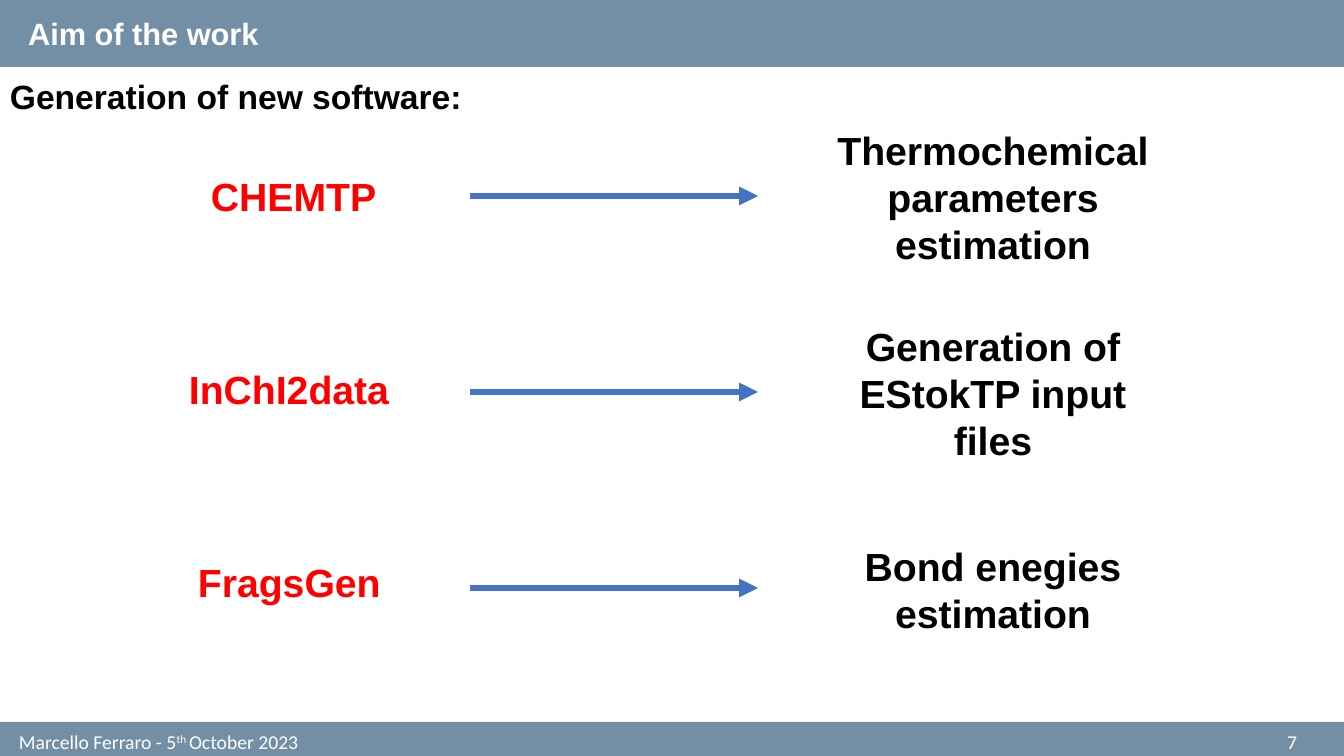
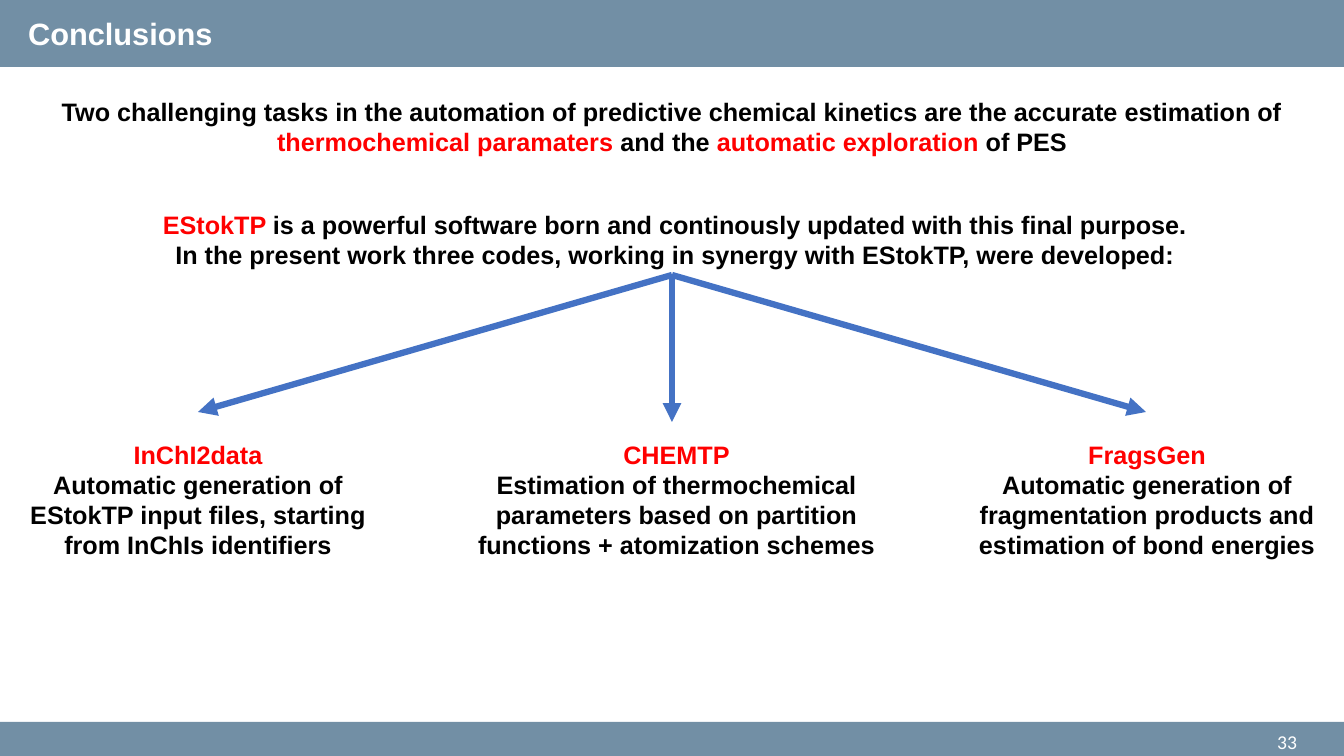
from lxml.etree import SubElement
from pptx import Presentation
from pptx.dml.color import RGBColor
from pptx.enum.shapes import MSO_CONNECTOR, MSO_SHAPE
from pptx.enum.text import MSO_ANCHOR, MSO_AUTO_SIZE, PP_ALIGN
from pptx.oxml.ns import qn
from pptx.util import Emu, Pt

WIDTH, HEIGHT = 1344, 756
BAND, ARROW = "728FA5", "4472C4"
WHITE, BLACK, RED = "FFFFFF", "000000", "FF0000"
LEFT, CENTER, RIGHT = PP_ALIGN.LEFT, PP_ALIGN.CENTER, PP_ALIGN.RIGHT


def px(pixels):
    """Turn pixels into EMU at 100.8 pixels to the inch."""
    return Emu(round(pixels * 914400 / 100.8))


def rgb(value):
    """Turn a hex string into a colour."""
    return RGBColor.from_string(value)


class Deck:
    """Holds the shared style and the current slide."""

    def __init__(self):
        """Start a wide presentation on the title-only layout."""
        self.presentation = Presentation()
        self.presentation.slide_width = px(WIDTH)
        self.presentation.slide_height = px(HEIGHT)
        self.layout = self.presentation.slide_layouts[5]
        self.slide = None

    def add_slide(self, heading, number, heading_width):
        """Add a slide with its title and page number."""
        self.slide = self.presentation.slides.add_slide(self.layout)
        if len(self.presentation.slides) == 1:
            self.band(0, 67, 101)
            self.band(722, HEIGHT - 722, 102)
        title = self.slide.shapes.title
        title.left, title.top = px(18), px(10)
        title.width, title.height = px(heading_width), px(47)
        self.set_text(title, [[(heading, WHITE)]], 22, LEFT)
        self.footer(904, 403, [(number, WHITE)], RIGHT)

    def band(self, top, height, shape_id):
        """Draw a full-width band and move it to the shared layout."""
        band = self.slide.shapes.add_shape(
            MSO_SHAPE.RECTANGLE, 0, px(top), px(WIDTH), px(height))
        band.shadow.inherit = False
        band.fill.solid()
        band.fill.fore_color.rgb = rgb(BAND)
        band.line.fill.background()
        band.element.nvSpPr.cNvPr.set("id", str(shape_id))
        self.layout.shapes.element.insert(2, band.element)

    def set_text(self, shape, paragraphs, size, align, font="Arial", bold=True,
                 anchor=MSO_ANCHOR.TOP):
        """Fill a shape with paragraphs, each a list of (words, colour)."""
        frame = shape.text_frame
        frame.word_wrap = True
        frame.auto_size = MSO_AUTO_SIZE.NONE
        frame.vertical_anchor = anchor
        for index, parts in enumerate(paragraphs):
            paragraph = frame.add_paragraph() if index else frame.paragraphs[0]
            paragraph.alignment = align
            paragraph.font.name = font
            paragraph.font.size = Pt(size)
            paragraph.font.bold = bold
            paragraph.font.color.rgb = rgb(parts[0][1])
            for words, colour in parts:
                run = paragraph.add_run()
                run.text = words
                if colour != parts[0][1]:
                    run.font.color.rgb = rgb(colour)

    def text(self, left, top, width, height, paragraphs, size, align=CENTER,
             **style):
        """Add a wrapped text box."""
        box = self.slide.shapes.add_textbox(
            px(left), px(top), px(width), px(height))
        self.set_text(box, paragraphs, size, align, **style)
        return box

    def footer(self, left, width, parts, align):
        """Add small text on the bottom band."""
        return self.text(left, 721, width, 41, [parts], 14, align,
                         font="Calibri", bold=False, anchor=MSO_ANCHOR.MIDDLE)

    def author(self, name, ordinal, date):
        """Add the author and date with a raised ordinal ending."""
        parts = [(words, WHITE) for words in (name, ordinal, date)]
        credit = self.footer(9, 414, parts, LEFT)
        raised = credit.element.xpath(".//a:r")[1]
        raised.get_or_add_rPr().set("baseline", "30000")

    def arrow(self, start, end):
        """Draw a thick straight arrow between two points."""
        arrow = self.slide.shapes.add_connector(
            MSO_CONNECTOR.STRAIGHT, *map(px, start + end))
        arrow.line.color.rgb = rgb(ARROW)
        arrow.line.width = Pt(4.5)
        properties = arrow.element.spPr
        SubElement(properties.find(qn("a:ln")), qn("a:tailEnd"),
                   type="triangle")
        SubElement(properties, qn("a:effectLst"))


def build_aim(deck):
    """Build the slide that pairs each program with its purpose."""
    deck.add_slide("Aim of the work", "7", 672)
    deck.author("Marcello Ferraro - 5", "th ", "October 2023")
    programs = [
        ("CHEMTP", 187, "Thermochemical parameters estimation", 152),
        ("InChI2data", 231, "Generation of EStokTP input files", 152),
        ("FragsGen", 213, "Bond enegies estimation", 105),
    ]
    for row, (program, width, purpose, height) in enumerate(programs):
        middle = 196 + 196 * row
        deck.text(294 - width // 2, 167 + 193 * row, width, 57,
                  [[(program, RED)]], 28, LEFT)
        deck.arrow((470, middle), (758, middle))
        deck.text(816, middle + 1 - height // 2, 354, height,
                  [[(purpose, BLACK)]], 28)
    deck.text(0, 71, WIDTH, 50,
              [[("Generation of new software:", BLACK)]], 24, LEFT)


def build_conclusions(deck):
    """Build the slide that sums up the three codes."""
    deck.add_slide("Conclusions", "33", 1314)
    deck.text(0, 91, WIDTH, 72, [[
        ("Two challenging tasks in the automation of predictive chemical "
         "kinetics are the accurate estimation of ", BLACK),
        ("thermochemical paramaters ", RED),
        ("and the ", BLACK),
        ("automatic exploration ", RED),
        ("of PES", BLACK),
    ]], 18)
    deck.text(18, 204, 1314, 72, [
        [("EStokTP ", RED),
         ("is a powerful software born and continously updated with this "
          "final purpose.", BLACK)],
        [("In the present work three codes, working in synergy with EStokTP, "
          "were developed:", BLACK)],
    ], 18)
    codes = [
        ("InChI2data", 13, 370, (198, 412),
         "Automatic generation of EStokTP input files, starting from InChIs "
         "identifiers"),
        ("CHEMTP", 453, 447, (672, 422),
         "Estimation of thermochemical parameters based on partition "
         "functions + atomization schemes"),
        ("FragsGen", 962, 370, (1146, 412),
         "Automatic generation of fragmentation products and estimation of "
         "bond energies"),
    ]
    for code, left, width, tip, purpose in codes:
        deck.arrow((672, 275), tip)
        deck.text(left, 434, width, 132,
                  [[(code, RED)], [(purpose, BLACK)]], 18)


deck = Deck()
build_aim(deck)
build_conclusions(deck)
deck.presentation.save("out.pptx")
